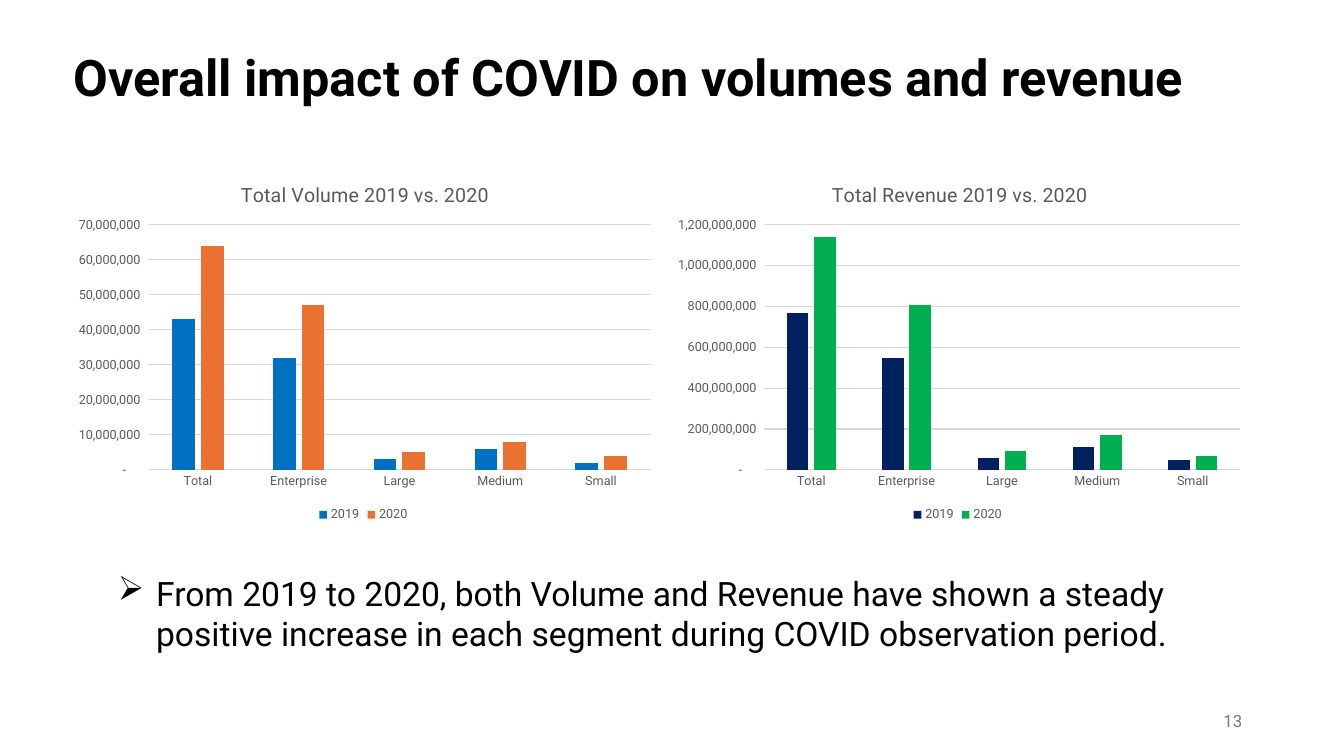
from lxml import etree
from pptx import Presentation
from pptx import util as u
from pptx.chart.data import CategoryChartData
from pptx.dml.color import RGBColor
from pptx.enum import chart as charts, text
from pptx.oxml import ns

COLORS = {
    "black": "000000", "number": "797979", "label": "595959", "grid": "D9D9D9",
    "blue": "0070C0", "orange": "E97132", "navy": "002060", "green": "00B050",
}
SEGMENTS = ["Total", "Enterprise", "Large", "Medium", "Small"]
NUMBER_FORMAT = '_(* #,##0_);_(* \\(#,##0\\);_(* "-"??_);_(@_)'
MILLION = 1_000_000


class SlideBuilder:
    """Holds the slide and its style."""

    font_name = "Roboto"

    def __init__(self, slide):
        self.slide = slide

    def color(self, name):
        return RGBColor.from_string(COLORS[name])

    def style_font(self, font, size, color, bold=False):
        font.name = self.font_name
        font.size = u.Pt(size)
        font.bold = bold
        font.color.rgb = self.color(color)

    def add_text(self, box, words, size, color="black", bold=False,
                 anchor=text.MSO_ANCHOR.MIDDLE, align=text.PP_ALIGN.LEFT):
        shape = self.slide.shapes.add_textbox(*map(u.Inches, box))
        frame = shape.text_frame
        frame.word_wrap = True
        frame.vertical_anchor = anchor
        paragraph = frame.paragraphs[0]
        paragraph.alignment = align
        run = paragraph.add_run()
        run.text = words
        self.style_font(run.font, size, color, bold)
        return paragraph

    def add_bullet(self, paragraph, character, indent):
        properties = paragraph._p.get_or_add_pPr()
        properties.set("marL", str(u.Inches(indent)))
        properties.set("indent", str(-u.Inches(indent)))
        bullet = etree.SubElement(properties, ns.qn("a:buChar"))
        bullet.set("char", character)

    def set_layout(self, element, **values):
        """Place a chart part by fractions of the chart's size."""
        layout = element.find(ns.qn("c:layout"))
        if layout is None:
            layout = etree.Element(ns.qn("c:layout"))
            element.insert(0, layout)
        manual = etree.SubElement(layout, ns.qn("c:manualLayout"))
        if "w" in values:
            etree.SubElement(manual, ns.qn("c:layoutTarget")).set("val", "inner")
        for key in ("x", "y"):
            etree.SubElement(manual, ns.qn(f"c:{key}Mode")).set("val", "edge")
        for key, value in values.items():
            etree.SubElement(manual, ns.qn(f"c:{key}")).set("val", str(value))

    def add_column_chart(self, box, title, series, plot_area, title_x, maximum, step):
        data = CategoryChartData(number_format=NUMBER_FORMAT)
        data.categories = SEGMENTS
        for name, _, millions in series:
            data.add_series(name, [value * MILLION for value in millions])
        chart = self.slide.shapes.add_chart(
            charts.XL_CHART_TYPE.COLUMN_CLUSTERED, *map(u.Inches, box), data).chart
        self.style_font(chart.font, 10, "black")

        # Title and legend
        chart.has_title = True
        run = chart.chart_title.text_frame.paragraphs[0].add_run()
        run.text = title
        self.style_font(run.font, 14, "label")
        self.set_layout(chart.chart_title._element, x=title_x, y=0.04)
        chart.has_legend = True
        chart.legend.position = charts.XL_LEGEND_POSITION.BOTTOM
        chart.legend.include_in_layout = False
        self.style_font(chart.legend.font, 9, "label")

        # Columns
        plot = chart.plots[0]
        plot.gap_width = 219
        plot.overlap = -27
        plot.vary_by_categories = False
        for columns, (_, color, _) in zip(plot.series, series):
            columns.format.fill.solid()
            columns.format.fill.fore_color.rgb = self.color(color)
        plot_element = chart._chartSpace.find(".//" + ns.qn("c:plotArea"))
        self.set_layout(plot_element, **plot_area)

        # Axes
        value_axis, category_axis = chart.value_axis, chart.category_axis
        for axis in (value_axis, category_axis):
            axis.major_tick_mark = charts.XL_TICK_MARK.NONE
            axis.minor_tick_mark = charts.XL_TICK_MARK.NONE
            self.style_font(axis.tick_labels.font, 9, "label")
        value_axis.minimum_scale = 0
        value_axis.maximum_scale = maximum * MILLION
        value_axis.major_unit = step * MILLION
        value_axis.tick_labels.number_format = NUMBER_FORMAT
        value_axis.tick_labels.number_format_is_linked = False
        value_axis.format.line.fill.background()
        for line in (value_axis.major_gridlines.format.line, category_axis.format.line):
            line.color.rgb = self.color("grid")
            line.width = u.Pt(0.75)


def main():
    presentation = Presentation()
    presentation.slide_width = u.Inches(13.33)
    presentation.slide_height = u.Inches(7.5)
    builder = SlideBuilder(presentation.slides.add_slide(presentation.slide_layouts[6]))

    # Heading
    heading = builder.add_text((0.63, 0.47, 12.26, 0.66),
                               "Overall impact of COVID on volumes and revenue", 36, bold=True)
    heading.line_spacing = 0.9

    # Charts, values in millions
    builder.add_column_chart(
        (0.63, 1.62, 5.95, 3.6), "Total Volume 2019 vs. 2020",
        [("2019", "blue", [43, 32, 3, 6, 2]),
         ("2020", "orange", [64, 47, 5, 8, 4])],
        {"x": 0.14, "y": 0.17, "w": 0.84, "h": 0.675}, 0.29, maximum=70, step=10)
    builder.add_column_chart(
        (6.58, 1.62, 5.84, 3.6), "Total Revenue 2019 vs. 2020",
        [("2019", "navy", [770, 550, 60, 110, 50]),
         ("2020", "green", [1140, 810, 90, 170, 70])],
        {"x": 0.17, "y": 0.17, "w": 0.81, "h": 0.675}, 0.28, maximum=1200, step=200)

    # Finding
    finding = builder.add_text(
        (1.07, 5.63, 11.65, 0.91),
        "From 2019 to 2020, both Volume and Revenue have shown a steady positive "
        "increase in each segment during COVID observation period.",
        24, anchor=text.MSO_ANCHOR.TOP)
    builder.add_bullet(finding, "➢", 0.38)

    # Slide number
    builder.add_text((9.42, 6.95, 3, 0.4), "13", 12, "number", align=text.PP_ALIGN.RIGHT)

    presentation.save("out.pptx")


if __name__ == "__main__":
    main()
